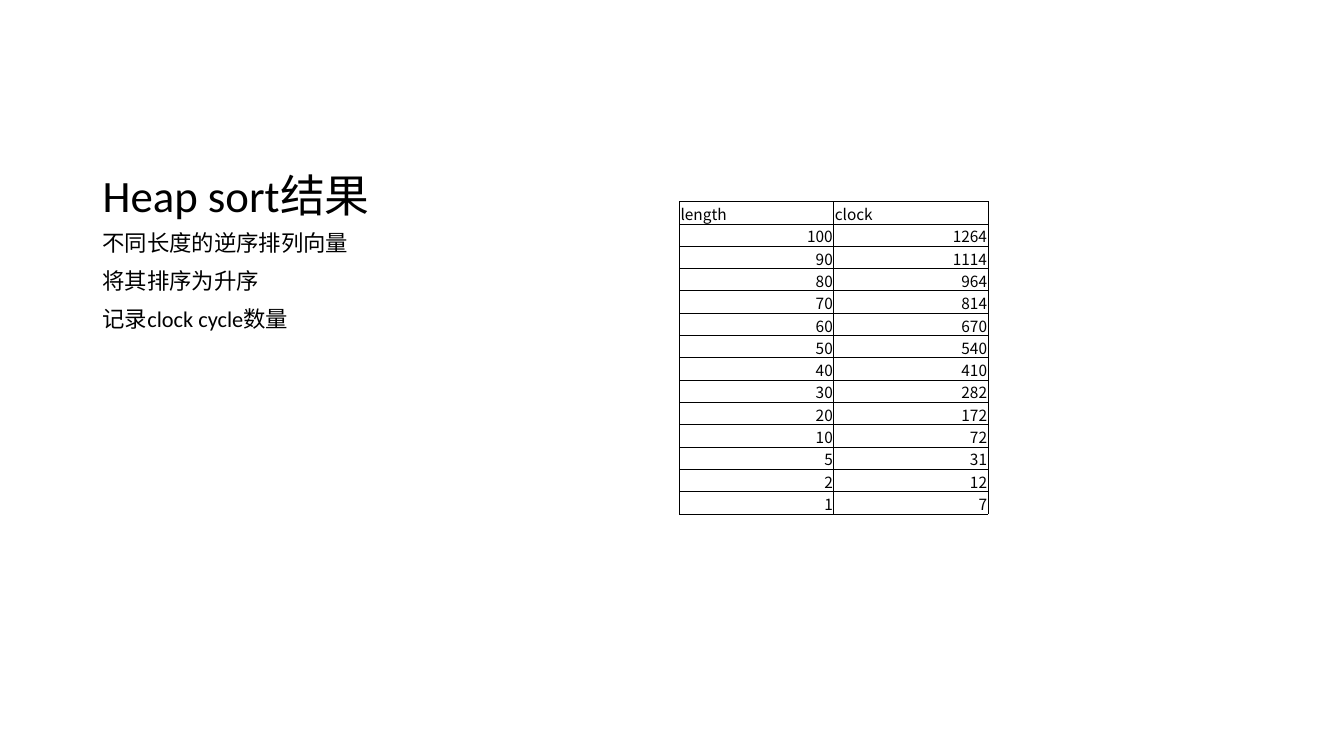
from lxml import etree
from pptx import Presentation
from pptx.dml.color import RGBColor
from pptx.enum.text import MSO_ANCHOR, PP_ALIGN
from pptx.oxml.ns import qn
from pptx.util import Inches, Pt

TOP, MIDDLE, BOTTOM = MSO_ANCHOR.TOP, MSO_ANCHOR.MIDDLE, MSO_ANCHOR.BOTTOM
LEFT, RIGHT = PP_ALIGN.LEFT, PP_ALIGN.RIGHT

COLORS = {"paper": "FFFFFF", "ink": "000000"}
LATIN_FONT, CJK_FONT = "Calibri", "Noto Sans CJK SC"
WIDTH, HEIGHT = Inches(13.33), Inches(7.5)

BULLETS = ["不同长度的逆序排列向量", "将其排序为升序", "记录clock cycle数量"]
CLOCKS = {100: 1264, 90: 1114, 80: 964, 70: 814, 60: 670, 50: 540, 40: 410,
          30: 282, 20: 172, 10: 72, 5: 31, 2: 12, 1: 7}


class SlideBuilder:
    """Places elements by a grid of 100 columns and 75 rows."""

    def __init__(self, deck):
        self.page = deck.slides.add_slide(deck.slide_layouts[6])
        self.column, self.row = WIDTH / 100, HEIGHT / 75
        fill = self.page.background.fill
        fill.solid()
        fill.fore_color.rgb = self.color("paper")

    def color(self, name):
        return RGBColor.from_string(COLORS[name])

    def area(self, left, top, width, height):
        return (round(left * self.column), round(top * self.row),
                round(width * self.column), round(height * self.row))

    def style(self, para, size, font, align=LEFT):
        para.alignment = align
        para.font.size, para.font.name = Pt(size), font
        para.font.color.rgb = self.color("ink")
        properties = para._p.pPr.find(qn("a:defRPr"))
        etree.SubElement(properties, qn("a:ea"), typeface=CJK_FONT)

    def text(self, area, lines, size, anchor=TOP, before=0):
        frame = self.page.shapes.add_textbox(*self.area(*area)).text_frame
        frame.word_wrap, frame.vertical_anchor = True, anchor
        frame.text = "\n".join(lines)
        for para in frame.paragraphs:
            self.style(para, size, LATIN_FONT)
            para.line_spacing, para.space_before = 0.9, Pt(before)

    def border(self, cell):
        properties = cell._tc.get_or_add_tcPr()
        for index, side in enumerate(("lnL", "lnR", "lnT", "lnB")):
            line = etree.Element(qn(f"a:{side}"), w=str(Pt(0.5)))
            fill = etree.SubElement(line, qn("a:solidFill"))
            etree.SubElement(fill, qn("a:srgbClr"), val=COLORS["ink"])
            properties.insert(index, line)

    def table(self, area, records, size):
        shape = self.page.shapes.add_table(
            len(records), len(records[0]), *self.area(*area))
        table = shape.table
        table.first_row = table.horz_banding = False
        for row, record in enumerate(records):
            for column, value in enumerate(record):
                cell = table.cell(row, column)
                cell.text = str(value)
                cell.fill.background()
                cell.vertical_anchor = MIDDLE
                cell.margin_left = cell.margin_right = cell.margin_top = Inches(0.01)
                cell.margin_bottom = 0
                self.style(cell.text_frame.paragraphs[0], size, CJK_FONT,
                           RIGHT if row else LEFT)
                self.border(cell)


def main():
    deck = Presentation()
    deck.slide_width, deck.slide_height = WIDTH, HEIGHT
    slide = SlideBuilder(deck)

    # Title and notes on the test
    slide.text((6.9, 5, 32.25, 17.5), ["Heap sort结果"], 32, BOTTOM)
    slide.text((6.9, 22.5, 32.25, 41.7), BULLETS, 16, before=10)

    # Clock cycles by vector length
    slide.table((50.56, 20, 22.96, 31), [("length", "clock"), *CLOCKS.items()], 11)

    deck.save("out.pptx")


if __name__ == "__main__":
    main()
